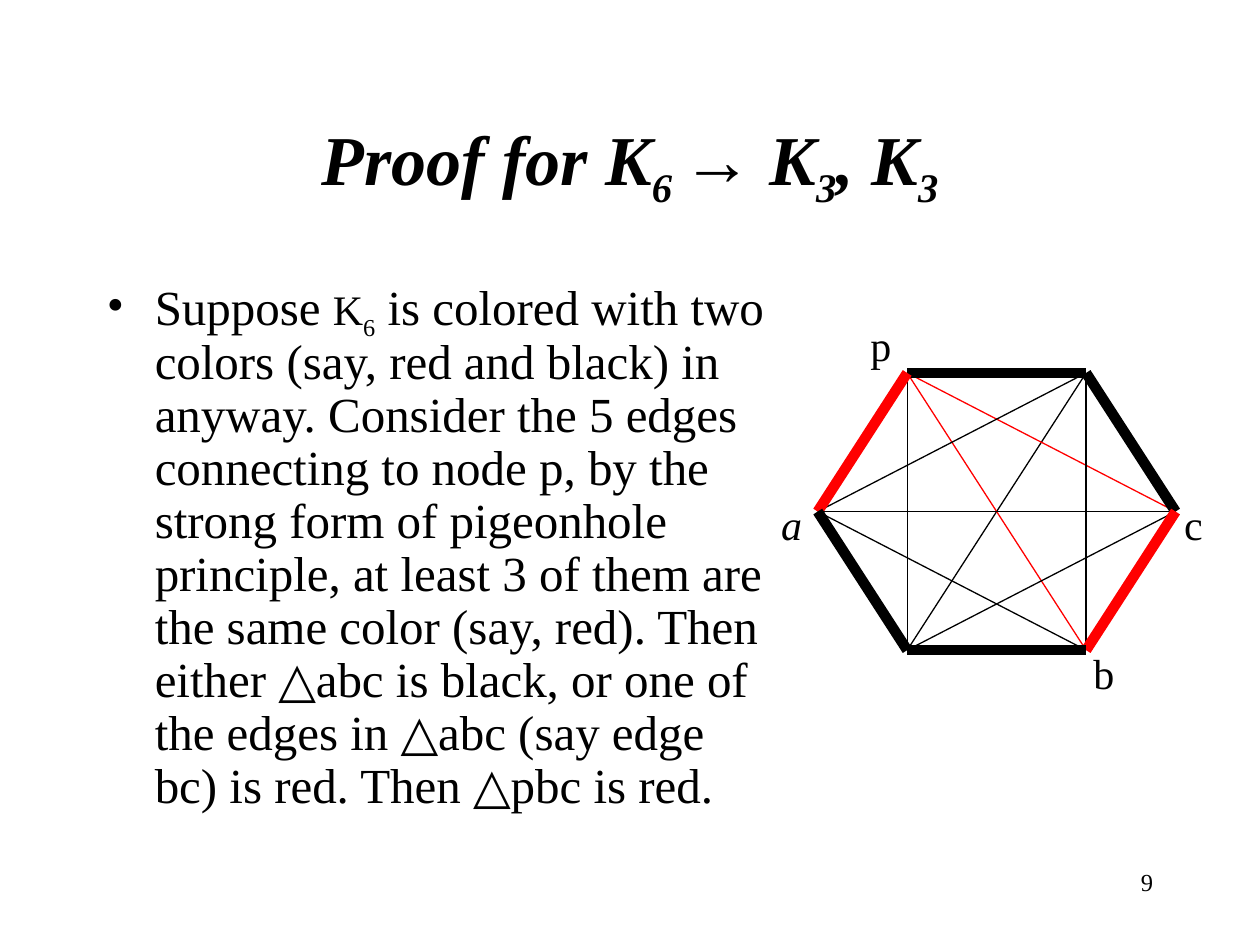
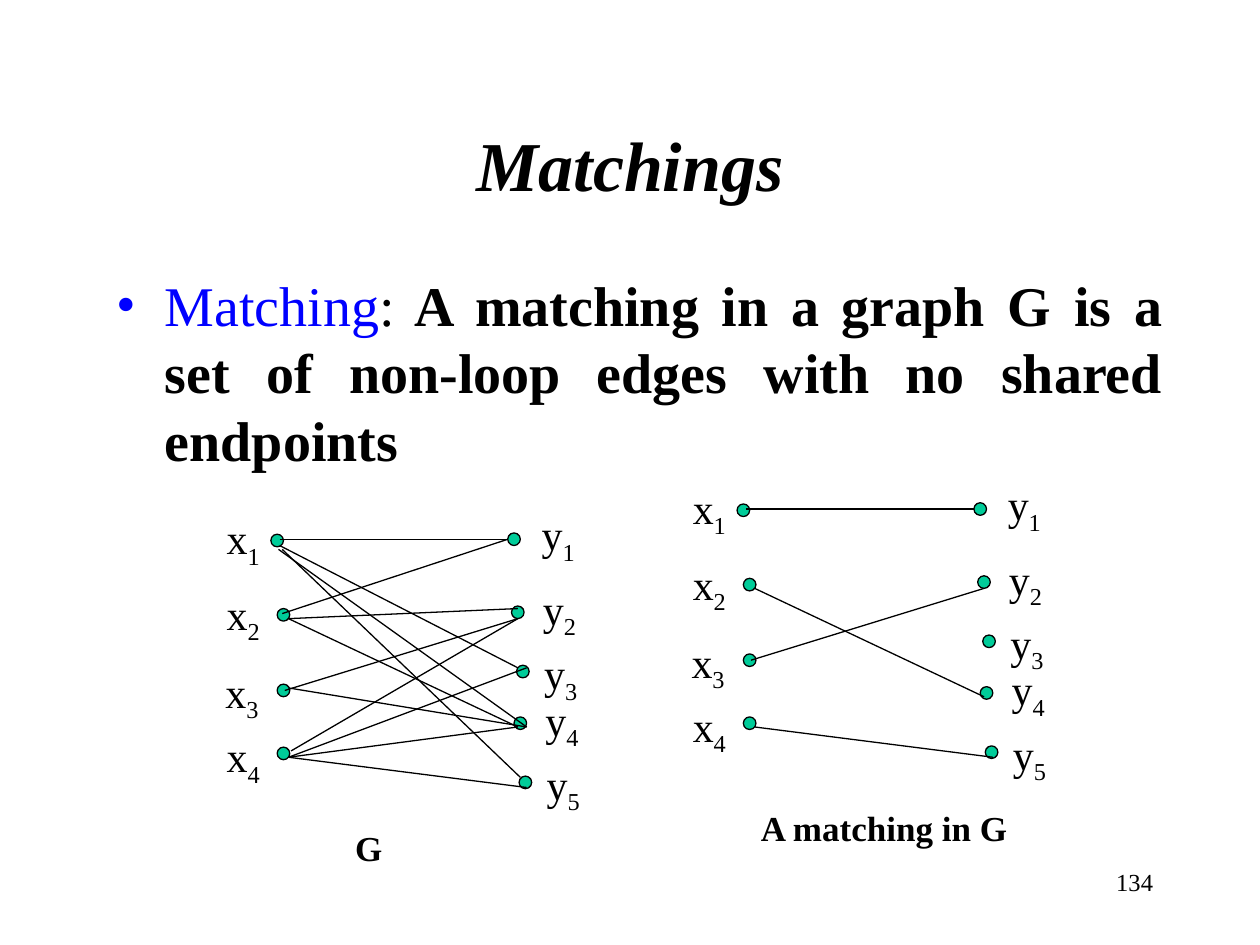
import pptx
import pptx.util
import pptx.dml.color
import pptx.enum.shapes
import pptx.enum.text
from lxml import etree

ALIGN = pptx.enum.text.PP_ALIGN
AUTO_SIZE = pptx.enum.text.MSO_AUTO_SIZE
FONT = "Times New Roman"
BLACK, RED, BLUE, GREEN = "000000", "FF0000", "0000FF", "00CC99"
WIDTH, HEIGHT = 10, 7.5
TITLE_AREA = (0.75, 0.67, 8.5, 1.25)
PAGE_AREA = (7.17, 6.83, 2.08, 0.5)
BULLET_INDENT = 0.38
THIN, THICK = 0.75, 6
SUB = {"sub": True}

RAMSEY = {
    "page": "9",
    "title": [("Proof for K", {}), ("6 ", SUB), ("→ K", {}), ("3", SUB),
              (", K", {}), ("3", SUB)],
    "body": [("Suppose ", {}), ("K", {"size": 24}), ("6", {"size": 24, "sub": True}),
             (" is colored with two colors (say, red and black) in anyway. "
              "Consider the 5 edges connecting to node p, by the strong form of "
              "pigeonhole principle, at least 3 of them are the same color (say, red). "
              "Then either △abc is black, or one of the edges in △abc (say edge bc) "
              "is red. Then △pbc is red.", {})],
    "body_area": (0.75, 2.17, 5.51, 4.5),
    "body_style": {"size": 28, "bullet": BLACK, "spacing": 0.9},
}
HEXAGON_LEFT, HEXAGON_TOP = 6.49, 2.96
HEXAGON_COLUMN, HEXAGON_ROW = 0.71, 1.1
HEXAGON_NODES = {"p": (1, 0), "q": (3, 0), "a": (0, 1), "c": (4, 1),
                 "r": (1, 2), "b": (3, 2)}
HEXAGON_EDGES = [
    (THIN, BLACK, "pr rq"), (THIN, RED, "pb pc"), (THIN, BLACK, "aq ac ab rc qb"),
    (THICK, BLACK, "pq qc"), (THICK, RED, "pa"), (THICK, BLACK, "ar"),
    (THICK, RED, "bc"), (THICK, BLACK, "rb"),
]
HEXAGON_LABELS = {"p": (6.81, 2.49), "a": (6.1, 3.91), "b": (8.58, 5.09), "c": (9.3, 3.91)}

MATCHINGS = {
    "page": "134",
    "title": [("Matchings", {})],
    "body": [("Matching", {"color": BLUE}), (":", {}),
             (" A matching in a graph G is a set of non-loop edges with no shared "
              "endpoints", {"bold": True})],
    "body_area": (0.83, 2.1, 8.5, 4.5),
    "body_style": {"size": 32, "bullet": BLUE, "align": ALIGN.JUSTIFY},
}
DOT = 0.1
VERTICES = {
    "x1": ((2.15, 4.24), (1.7, 4.02)), "x2": ((2.2, 4.83), (1.7, 4.62)),
    "x3": ((2.2, 5.43), (1.69, 5.24)), "x4": ((2.2, 5.93), (1.7, 5.75)),
    "y1": ((4.03, 4.23), (4.2, 3.99)), "y2": ((4.06, 4.81), (4.21, 4.58)),
    "y3": ((4.1, 5.28), (4.22, 5.09)), "y4": ((4.08, 5.69), (4.23, 5.46)),
    "y5": ((4.12, 6.16), (4.24, 5.97)),
}
EDGES = {
    "x1 y1": ((2.22, 4.28), (4.03, 4.28)), "x2 y1": ((2.24, 4.87), (4.03, 4.28)),
    "x3 y2": ((2.26, 5.48), (4.11, 4.91)), "x4 y2": ((2.31, 5.96), (4.11, 4.91)),
    "x1 y3": ((2.22, 4.33), (4.11, 5.3)), "x1 y4": ((2.21, 4.36), (4.18, 5.77)),
    "x1 y5": ((2.24, 4.36), (4.13, 6.17)), "x2 y2": ((2.29, 4.91), (4.11, 4.83)),
    "x2 y4": ((2.29, 4.91), (4.11, 5.77)), "x4 y3": ((2.29, 6.01), (4.18, 5.3)),
    "x4 y4": ((2.29, 6.01), (4.11, 5.77)), "x4 y5": ((2.29, 6.01), (4.18, 6.25)),
    "x3 y4": ((2.29, 5.46), (4.18, 5.77)),
}
GRAPHS = [
    {"shift": (0, 0), "edges": list(EDGES), "caption": "G",
     "caption_area": (2.72, 6.51, 0.79, 0.44)},
    {"shift": (3.7, -0.24), "edges": ["x1 y1", "x3 y2", "x2 y4", "x4 y5"],
     "caption": "A matching in G", "caption_area": (5.94, 6.35, 2.6, 0.44)},
]


def inches(lengths):
    return [pptx.util.Inches(length) for length in lengths]


def rgb(color):
    return pptx.dml.color.RGBColor.from_string(color)


def add_bullet(paragraph, color):
    properties = paragraph._p.get_or_add_pPr()
    indent = pptx.util.Inches(BULLET_INDENT)
    properties.set("marL", str(indent))
    properties.set("indent", str(-indent))
    tag = pptx.oxml.ns.qn
    bullet_color = etree.SubElement(properties, tag("a:buClr"))
    etree.SubElement(bullet_color, tag("a:srgbClr"), val=color)
    etree.SubElement(properties, tag("a:buFont"), typeface=FONT)
    etree.SubElement(properties, tag("a:buChar"), char="•")


def write(frame, runs, size, align=ALIGN.LEFT, bold=False, italic=False,
          bullet=None, spacing=None):
    frame.word_wrap = True
    paragraph = frame.paragraphs[0]
    if bullet:
        add_bullet(paragraph, bullet)
    paragraph.alignment = align
    if spacing:
        paragraph.line_spacing = spacing
    for words, style in runs:
        run = paragraph.add_run()
        run.text = words
        run.font.name = FONT
        run.font.size = pptx.util.Pt(style.get("size", size))
        run.font.bold = style.get("bold", bold)
        run.font.italic = style.get("italic", italic)
        run.font.color.rgb = rgb(style.get("color", BLACK))
        if style.get("sub"):
            run.font._element.set("baseline", "-25000")


def add_text(shapes, area, runs, size, grow=False, **style):
    frame = shapes.add_textbox(*inches(area)).text_frame
    write(frame, runs, size, **style)
    frame.auto_size = AUTO_SIZE.SHAPE_TO_FIT_TEXT if grow else AUTO_SIZE.NONE


def add_line(shapes, start, end, color=BLACK, weight=THIN):
    line = shapes.add_connector(pptx.enum.shapes.MSO_CONNECTOR.STRAIGHT,
                                *inches((*start, *end)))
    line.line.color.rgb = rgb(color)
    line.line.width = pptx.util.Pt(weight)
    etree.SubElement(line._element.spPr, pptx.oxml.ns.qn("a:effectLst"))


def add_dot(shapes, corner):
    dot = shapes.add_shape(pptx.enum.shapes.MSO_SHAPE.OVAL, *inches((*corner, DOT, DOT)))
    dot.shadow.inherit = False
    dot.fill.solid()
    dot.fill.fore_color.rgb = rgb(GREEN)
    dot.line.color.rgb = rgb(BLACK)
    dot.line.width = pptx.util.Pt(THIN)


def add_page(deck, content):
    slide = deck.slides.add_slide(deck.slide_layouts[5])
    title = slide.shapes.title
    title.left, title.top, title.width, title.height = inches(TITLE_AREA)
    title.text_frame.auto_size = AUTO_SIZE.NONE
    title.text_frame.vertical_anchor = pptx.enum.text.MSO_ANCHOR.MIDDLE
    write(title.text_frame, content["title"], 40, ALIGN.CENTER, bold=True, italic=True)
    add_text(slide.shapes, PAGE_AREA, [(content["page"], {})], 14, align=ALIGN.RIGHT)
    add_text(slide.shapes, content["body_area"], content["body"], **content["body_style"])
    return slide.shapes


def draw_hexagon(shapes):
    corners = {node: (HEXAGON_LEFT + column * HEXAGON_COLUMN,
                      HEXAGON_TOP + row * HEXAGON_ROW)
               for node, (column, row) in HEXAGON_NODES.items()}
    for weight, color, pairs in HEXAGON_EDGES:
        for start, end in pairs.split():
            add_line(shapes, corners[start], corners[end], color, weight)
    for node, corner in HEXAGON_LABELS.items():
        add_text(shapes, (*corner, 0.39, 0.5), [(node, {"italic": node == "a"})], 24,
                 grow=True)


def draw_graph(shapes, graph):
    def shifted(point):
        return tuple(a + b for a, b in zip(point, graph["shift"]))

    for dot, _ in VERTICES.values():
        add_dot(shapes, shifted(dot))
    for edge in graph["edges"]:
        add_line(shapes, *map(shifted, EDGES[edge]))
    for (letter, index), (_, label) in VERTICES.items():
        add_text(shapes, (*shifted(label), 0.53, 0.56), [(letter, {}), (index, SUB)], 24,
                 grow=True)
    add_text(shapes, graph["caption_area"], [(graph["caption"], {})], 20, grow=True,
             bold=True)


def main():
    deck = pptx.Presentation()
    deck.slide_width, deck.slide_height = inches((WIDTH, HEIGHT))
    draw_hexagon(add_page(deck, RAMSEY))
    matchings = add_page(deck, MATCHINGS)
    for graph in GRAPHS:
        draw_graph(matchings.add_group_shape().shapes, graph)
    deck.save("out.pptx")


if __name__ == "__main__":
    main()
